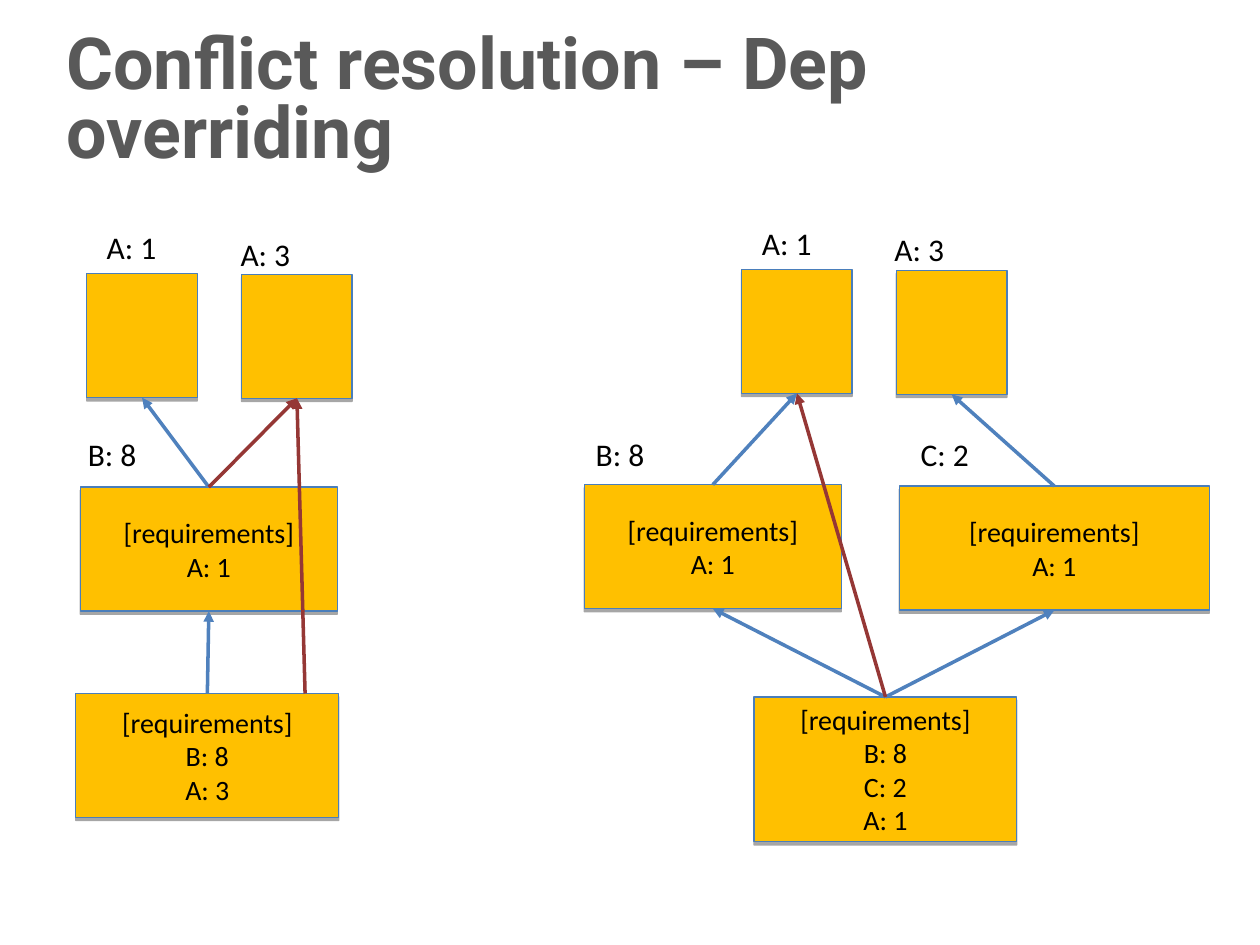
from lxml.etree import SubElement
from pptx import Presentation
from pptx.dml.color import RGBColor
from pptx.enum.shapes import MSO_CONNECTOR, MSO_SHAPE
from pptx.enum.text import MSO_ANCHOR, PP_ALIGN
from pptx.oxml.ns import qn
from pptx.util import Cm, Pt

AMBER = RGBColor(0xFF, 0xC0, 0x00)
BORDER = RGBColor(0x4A, 0x7E, 0xBB)
BLUE = RGBColor(0x4F, 0x81, 0xBD)
RED = RGBColor(0x95, 0x37, 0x35)
BLACK = RGBColor(0, 0, 0)
GREY = RGBColor(0x59, 0x59, 0x59)

TITLE = "Conflict resolution – Dep overriding"
REQ = "[requirements]\n"
TOP, BOTTOM = 0, 2  # connection sites of a rectangle

# name: (left, top, width, height, text), in cm
PACKAGES = {
    "left A1": (1.75, 5.52, 2.23, 2.5, ""),
    "left A3": (4.87, 5.53, 2.23, 2.5, ""),
    "left B": (1.62, 9.82, 5.18, 2.5, REQ + "A: 1"),
    "left app": (1.53, 13.98, 5.3, 2.5, REQ + "B: 8\nA: 3"),
    "right A1": (14.95, 5.43, 2.23, 2.5, ""),
    "right A3": (18.07, 5.45, 2.23, 2.5, ""),
    "right B": (11.78, 9.77, 5.18, 2.5, REQ + "A: 1"),
    "right C": (18.13, 9.8, 6.25, 2.5, REQ + "A: 1"),
    "right app": (15.2, 14.05, 5.3, 2.92, REQ + "B: 8\nC: 2\nA: 1"),
}

# (left, top, text), in cm
LABELS = [
    (1.9, 4.47, "A: 1"), (4.6, 4.62, "A: 3"), (1.52, 8.64, "B: 8"),
    (15.11, 4.39, "A: 1"), (17.78, 4.52, "A: 3"),
    (11.76, 8.64, "B: 8"), (18.31, 8.64, "C: 2"),
]

DEPENDENCIES = [
    ("left app", "left B", BLUE), ("left B", "left A1", BLUE),
    ("left B", "left A3", RED),
    ("right app", "right B", BLUE), ("right app", "right C", BLUE),
    ("right B", "right A1", BLUE), ("right C", "right A3", BLUE),
    ("right app", "right A1", RED),
]
OVERRIDE_START = (6.15, 13.98)  # off-centre on the top side of "left app"


def set_font(tf, name, size, color, bold=False):
    for p in tf.paragraphs:
        for r in p.runs:
            r.font.name = name
            r.font.size = Pt(size)
            r.font.color.rgb = color
            r.font.bold = bold


def add_drop_shadow(sp):
    sp.shadow.inherit = False
    effects = sp._element.spPr.find(qn("a:effectLst"))
    shadow = SubElement(effects, qn("a:outerShdw"), blurRad="0",
                        dist=str(Pt(1.8)), dir="5400000", rotWithShape="0")
    color = SubElement(shadow, qn("a:srgbClr"), val="000000")
    SubElement(color, qn("a:alpha"), val="35000")


def add_package(slide, left, top, width, height, text):
    sp = slide.shapes.add_shape(MSO_SHAPE.RECTANGLE, Cm(left), Cm(top), Cm(width), Cm(height))
    sp.fill.solid()
    sp.fill.fore_color.rgb = AMBER
    sp.line.color.rgb = BORDER
    sp.line.width = Pt(0.75)
    add_drop_shadow(sp)
    if text:
        tf = sp.text_frame
        tf.text = text
        tf.vertical_anchor = MSO_ANCHOR.MIDDLE
        for p in tf.paragraphs:
            p.alignment = PP_ALIGN.CENTER
        set_font(tf, "Calibri", 16, BLACK)
    return sp


def add_arrow(slide, target, color, source=None, start=(0, 0)):
    """Point at the bottom of target, from the top of source or from a free start in cm."""
    x, y = Cm(start[0]), Cm(start[1])
    arrow = slide.shapes.add_connector(MSO_CONNECTOR.STRAIGHT, x, y, x, y)
    if source is not None:
        arrow.begin_connect(source, TOP)
    arrow.end_connect(target, BOTTOM)
    arrow.line.color.rgb = color
    arrow.line.width = Pt(2)
    SubElement(arrow.line._get_or_add_ln(), qn("a:tailEnd"), type="triangle")
    SubElement(arrow._element.spPr, qn("a:effectLst"))


def add_text(slide, left, top, width, height, text):
    s = slide.shapes.add_textbox(Cm(left), Cm(top), Cm(width), Cm(height))
    s.text_frame.text = text
    return s.text_frame


def main():
    prs = Presentation()
    prs.slide_width, prs.slide_height = Cm(25.4), Cm(19.05)
    slide = prs.slides.add_slide(prs.slide_layouts[6])

    tf = add_text(slide, 1.09, 0.5, 22.86, 3.18, TITLE)
    tf.word_wrap = True
    tf.vertical_anchor = MSO_ANCHOR.MIDDLE
    tf.paragraphs[0].line_spacing = 0.8
    set_font(tf, "Roboto", 41, GREY, bold=True)

    packages = {name: add_package(slide, *box) for name, box in PACKAGES.items()}
    for left, top, text in LABELS:
        tf = add_text(slide, left, top, 1.52, 1.02, text)
        tf.word_wrap = False
        set_font(tf, "Calibri", 18, BLACK)
    for source, target, color in DEPENDENCIES:
        add_arrow(slide, packages[target], color, source=packages[source])
    add_arrow(slide, packages["left A3"], RED, start=OVERRIDE_START)

    prs.save("out.pptx")


if __name__ == "__main__":
    main()
